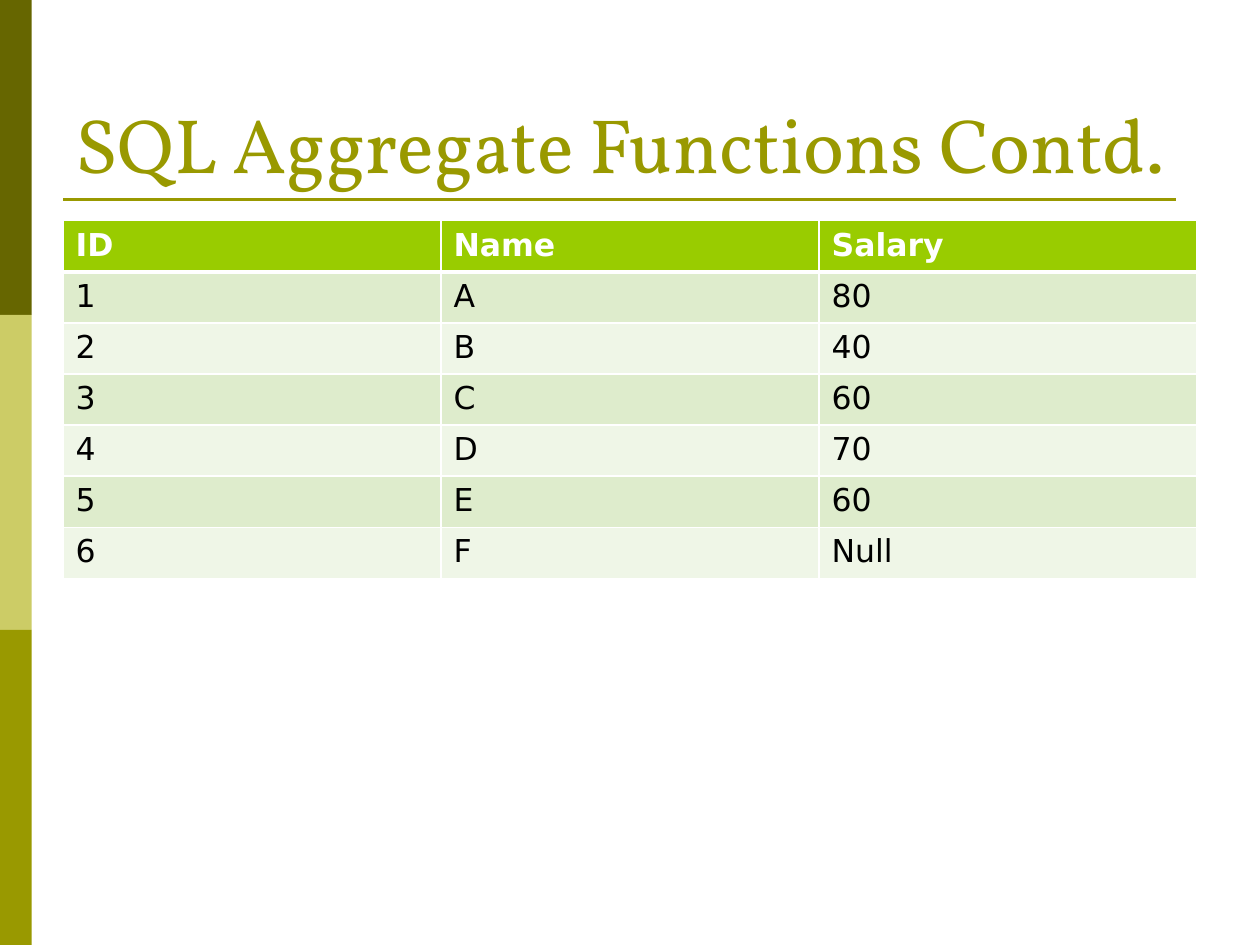
from dataclasses import dataclass

from lxml import etree
from pptx import Presentation
from pptx.dml.color import RGBColor
from pptx.enum.shapes import MSO_CONNECTOR, MSO_SHAPE
from pptx.enum.text import MSO_ANCHOR, PP_ALIGN
from pptx.oxml.ns import qn
from pptx.util import Cm, Pt

RECTANGLE = MSO_SHAPE.RECTANGLE
STRAIGHT = MSO_CONNECTOR.STRAIGHT
BOTTOM = MSO_ANCHOR.BOTTOM
LEFT = PP_ALIGN.LEFT

TITLE = "SQL Aggregate Functions Contd."
HEADER = ("ID", "Name", "Salary")
EMPLOYEES = [
    ("1", "A", "80"),
    ("2", "B", "40"),
    ("3", "C", "60"),
    ("4", "D", "70"),
    ("5", "E", "60"),
    ("6", "F", "Null"),
]


@dataclass(frozen=True)
class Theme:
    title_font: str = "Vollkorn"
    body_font: str = "DejaVu Sans"
    title_size: int = 44
    body_size: int = 18
    accent: str = "999900"
    sidebar: tuple = ("666600", "CCCC66", "999900")
    header_fill: str = "99CC00"
    bands: tuple = ("DEECCC", "EFF6E7")
    light: str = "FFFFFF"
    dark: str = "000000"


THEME = Theme()
SLIDE_WIDTH, SLIDE_HEIGHT = 25.4, 19.05
MARGIN = 1.27
CONTENT_WIDTH = 22.86
SIDEBAR_WIDTH = 0.64
RULE_RIGHT, RULE_TOP = 23.7, 4.02
TITLE_TOP, TITLE_HEIGHT = 0.76, 3.18
TABLE_TOP, ROW_HEIGHT = 4.45, 1.03


def rgb(color):
    return RGBColor.from_string(color)


def add_run(paragraph, text, font, size, color, bold=False):
    run = paragraph.add_run()
    run.text = text
    run.font.name = font
    run.font.size = Pt(size)
    run.font.bold = bold
    run.font.color.rgb = rgb(color)


def add_sidebar(slide):
    height = SLIDE_HEIGHT / len(THEME.sidebar)
    for index, color in enumerate(THEME.sidebar):
        block = slide.shapes.add_shape(
            RECTANGLE, 0, Cm(index * height), Cm(SIDEBAR_WIDTH), Cm(height))
        block.shadow.inherit = False
        block.fill.solid()
        block.fill.fore_color.rgb = rgb(color)
        block.line.fill.background()


def add_title_rule(slide):
    rule = slide.shapes.add_connector(
        STRAIGHT, Cm(MARGIN), Cm(RULE_TOP), Cm(RULE_RIGHT), Cm(RULE_TOP))
    rule.line.color.rgb = rgb(THEME.accent)
    rule.line.width = Pt(1.5)
    etree.SubElement(rule.element.spPr, qn("a:effectLst"))


def add_title(slide):
    title = slide.shapes.add_textbox(
        Cm(MARGIN), Cm(TITLE_TOP), Cm(CONTENT_WIDTH), Cm(TITLE_HEIGHT))
    frame = title.text_frame
    frame.word_wrap = True
    frame.vertical_anchor = BOTTOM
    paragraph = frame.paragraphs[0]
    paragraph.alignment = LEFT
    add_run(paragraph, TITLE, THEME.title_font, THEME.title_size, THEME.accent)


def set_borders(cell, widths):
    """Draw light borders; widths maps a side (L, R, T, B) to points."""
    properties = cell._tc.get_or_add_tcPr()
    for position, (side, width) in enumerate(widths.items()):
        border = etree.Element(qn(f"a:ln{side}"), w=str(Pt(width)))
        fill = etree.SubElement(border, qn("a:solidFill"))
        etree.SubElement(fill, qn("a:srgbClr"), val=THEME.light)
        properties.insert(position, border)


def add_employee_table(slide):
    rows = [HEADER, *EMPLOYEES]
    table = slide.shapes.add_table(
        len(rows), len(HEADER), Cm(MARGIN), Cm(TABLE_TOP),
        Cm(CONTENT_WIDTH), Cm(ROW_HEIGHT * len(rows))).table
    for row_index, values in enumerate(rows):
        table.rows[row_index].height = Cm(ROW_HEIGHT)
        is_header = row_index == 0
        fill = THEME.header_fill if is_header else THEME.bands[(row_index - 1) % 2]
        color = THEME.light if is_header else THEME.dark
        widths = {"L": 1, "R": 1, "T": 3 if row_index == 1 else 1,
                  "B": 3 if is_header else 1}
        for column_index, value in enumerate(values):
            cell = table.cell(row_index, column_index)
            cell.fill.solid()
            cell.fill.fore_color.rgb = rgb(fill)
            set_borders(cell, widths)
            add_run(cell.text_frame.paragraphs[0], value, THEME.body_font,
                    THEME.body_size, color, is_header)


def main():
    presentation = Presentation()
    presentation.slide_width = Cm(SLIDE_WIDTH)
    presentation.slide_height = Cm(SLIDE_HEIGHT)
    slide = presentation.slides.add_slide(presentation.slide_layouts[6])
    add_sidebar(slide)
    add_title_rule(slide)
    add_title(slide)
    add_employee_table(slide)
    presentation.save("out.pptx")


if __name__ == "__main__":
    main()
